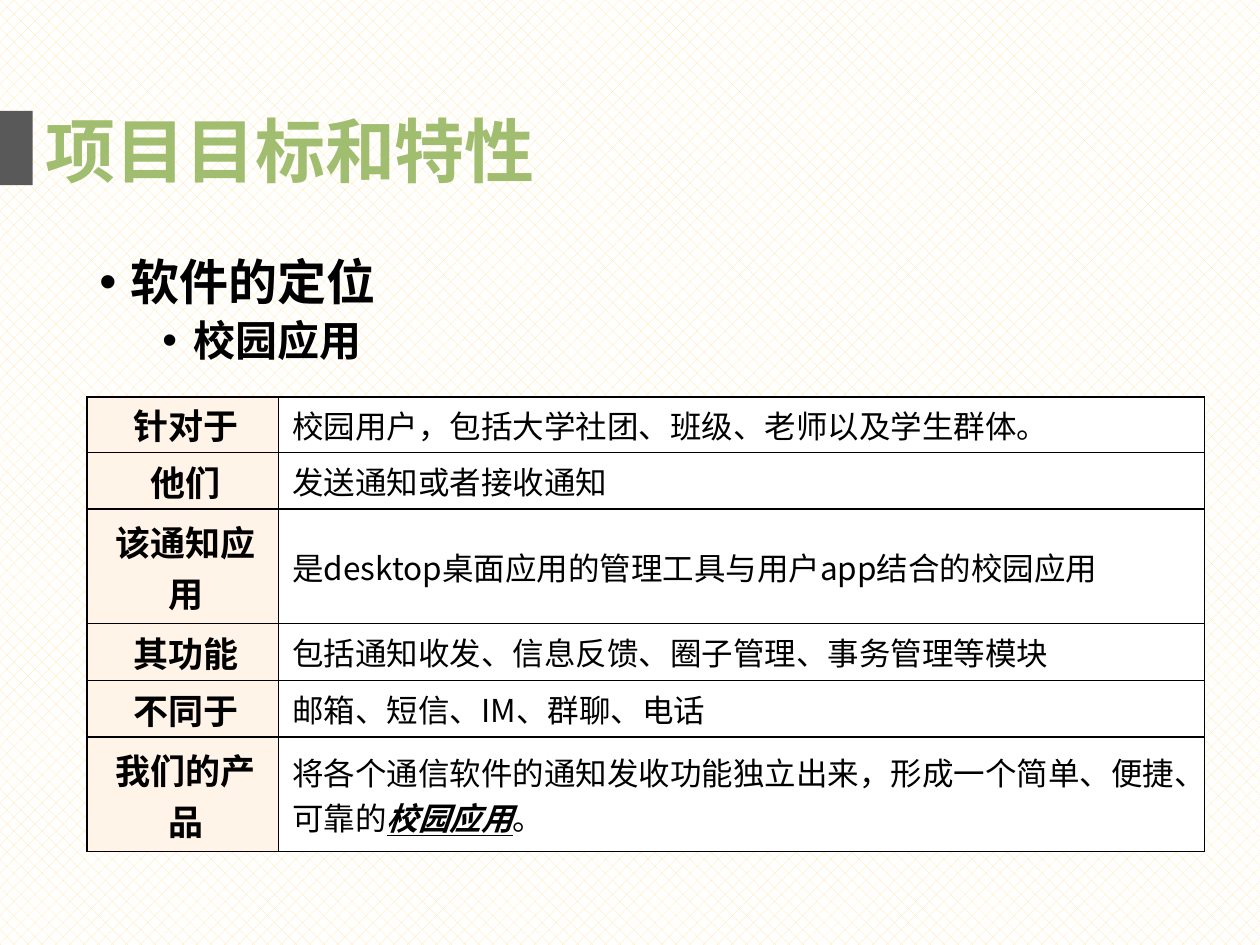
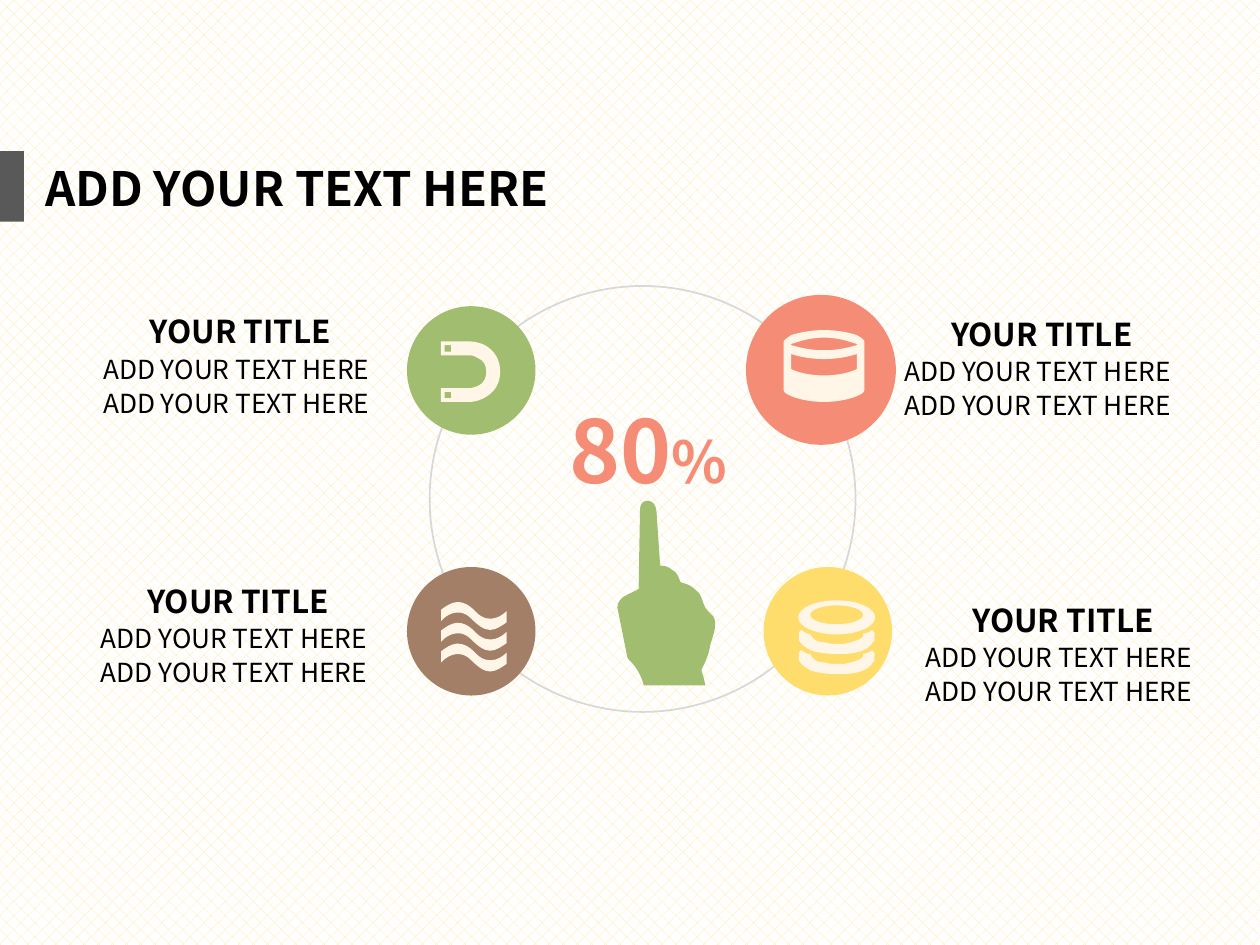
from lxml.etree import SubElement
from pptx import Presentation
from pptx.dml.color import RGBColor
from pptx.enum.dml import MSO_PATTERN
from pptx.enum.shapes import MSO_SHAPE
from pptx.enum.text import MSO_ANCHOR, MSO_AUTO_SIZE, PP_ALIGN
from pptx.oxml import parse_xml
from pptx.oxml.ns import qn
from pptx.util import Inches, Pt

FONT = "Noto Sans CJK SC"
NS = 'xmlns:a="http://schemas.openxmlformats.org/drawingml/2006/main"'
BLACK = RGBColor(0, 0, 0)
WHITE = RGBColor(255, 255, 255)
GOLD = RGBColor(0xFF, 0xE6, 0x99)
GRAY = RGBColor(0x59, 0x59, 0x59)
SILVER = RGBColor(0xD8, 0xD8, 0xD8)
GREEN = RGBColor(0xA1, 0xBD, 0x70)
BROWN = RGBColor(0xA3, 0x7F, 0x67)
CORAL = RGBColor(0xF5, 0x8D, 0x76)
YELLOW = RGBColor(0xFF, 0xDD, 0x6C)
CREAM = RGBColor(0xFF, 0xF6, 0xE7)
PEACH = RGBColor(0xFF, 0xF4, 0xE7)


def style(para, size, color=BLACK, bold=False):
    for run in para.runs:
        font = run.font
        font.size, font.bold, font.name = Pt(size), bold, FONT
        font.color.rgb = color
        SubElement(run._r.get_or_add_rPr(), qn("a:ea")).set("typeface", FONT)


def draw(slide, loops, color):
    pen = None
    for loop in loops:
        head = [Inches(v / 100) for v in loop[0]]
        if pen is None:
            pen = slide.shapes.build_freeform(*head)
        else:
            pen.move_to(*head)
        pen.add_line_segments([(Inches(step[i] / 100), Inches(step[i + 1] / 100))
                               for step in loop[1:] for i in range(0, len(step), 2)], close=True)
    shape = pen.convert_to_shape()
    shape.shadow.inherit = False
    shape.fill.solid()
    shape.fill.fore_color.rgb = color
    shape.line.fill.background()
    marks = iter(list(shape._element.iter(qn("a:lnTo"))))
    for loop in loops:
        for step in loop[1:]:
            mark = next(marks)
            if len(step) == 6:
                mark.tag = qn("a:cubicBezTo")
                for extra in (next(marks), next(marks)):
                    mark.append(extra[0])
                    extra.getparent().remove(extra)


deck = Presentation()
deck.slide_width, deck.slide_height = Inches(10), Inches(7.5)

heads = [
    ("项目目标和特性", 40, GREEN, (0.26, 0.8, 4.3, 0.77), (0, 0.88, 0.26, 0.59)),
    ("ADD YOUR TEXT HERE", 27, BLACK, (0.26, 1.21, 4.51, 0.56), (0, 1.2, 0.19, 0.56)),
]
for text, size, color, spot, bar in heads:
    slide = deck.slides.add_slide(deck.slide_layouts[5])
    fill = slide.background.fill
    fill.patterned()
    fill.pattern = MSO_PATTERN.PERCENT_25
    fill.fore_color.rgb, fill.back_color.rgb = GOLD, WHITE
    title = slide.shapes.title
    title.left, title.top, title.width, title.height = [Inches(v) for v in spot]
    frame = title.text_frame
    frame.text = text
    frame.auto_size = MSO_AUTO_SIZE.NONE
    frame.vertical_anchor = MSO_ANCHOR.MIDDLE
    frame.paragraphs[0].alignment = PP_ALIGN.LEFT
    style(frame.paragraphs[0], size, color, True)
    band = slide.shapes.add_shape(MSO_SHAPE.RECTANGLE, *[Inches(v) for v in bar])
    band.shadow.inherit = False
    band.fill.solid()
    band.fill.fore_color.rgb = GRAY
    band.line.fill.background()

goal, stats = deck.slides

rows = [
    ("针对于", ["校园用户，包括大学社团、班级、老师以及学生群体。"], 0.44),
    ("他们", ["发送通知或者接收通知"], 0.45),
    ("该通知应用", ["是desktop桌面应用的管理工具与用户app结合的校园应用"], 0.91),
    ("其功能", ["包括通知收发、信息反馈、圈子管理、事务管理等模块"], 0.45),
    ("不同于", ["邮箱、短信、IM、群聊、电话"], 0.45),
    ("我们的产品", ["将各个通信软件的通知发收功能独立出来，形成一个简单、便捷、可靠的",
               "校园应用", "。"], 0.91),
]
table = goal.shapes.add_table(len(rows), 2, Inches(0.69), Inches(3.15),
                              Inches(8.87), Inches(3.6)).table
table.first_row = table.horz_banding = False
table.columns[0].width, table.columns[1].width = Inches(1.52), Inches(7.35)
for i, (name, parts, tall) in enumerate(rows):
    table.rows[i].height = Inches(tall)
    for j, texts in enumerate([[name], parts]):
        cell = table.cell(i, j)
        cell.vertical_anchor = MSO_ANCHOR.MIDDLE
        cell.margin_left = cell.margin_right = Inches(0.11)
        cell.margin_top = cell.margin_bottom = 0
        para = cell.text_frame.paragraphs[0]
        para.space_after = Pt(6)
        for text in texts:
            para.add_run().text = text
        style(para, 18 if j else 20, BLACK, j == 0)
        if j == 0:
            para.alignment = PP_ALIGN.CENTER
            para._p.get_or_add_pPr().set("marL", str(Inches(0.05)))
        if len(texts) > 1:
            font = para.runs[1].font
            font.bold = font.italic = font.underline = True
        for side in ("lnL", "lnR", "lnT", "lnB"):
            cell._tc.get_or_add_tcPr().append(parse_xml(
                f'<a:{side} {NS} w="12700"><a:solidFill><a:srgbClr val="000000"/>'
                f'</a:solidFill></a:{side}>'))
        cell.fill.solid()
        cell.fill.fore_color.rgb = WHITE if j else PEACH

box = goal.shapes.add_textbox(Inches(0.69), Inches(2), Inches(8.62), Inches(4.76))
frame = box.text_frame
frame.word_wrap = True
frame.text = "软件的定位\n校园应用"
for i, para in enumerate(frame.paragraphs):
    para.level = i
    para.line_spacing = 0.9
    para.space_before = Pt(10 - 5 * i)
    style(para, 28 - 4 * i, BLACK, True)
    prop = para._p.get_or_add_pPr()
    prop.set("marL", str(Inches(0.25 + 0.5 * i)))
    prop.set("indent", str(Inches(-0.25)))
    prop.append(parse_xml(f'<a:buFont {NS} typeface="Arial"/>'))
    prop.append(parse_xml(f'<a:buChar {NS} char="•"/>'))

discs = [
    (3.41, 2.27, 3.38, None), (3.23, 2.43, 1.02, GREEN), (3.23, 4.5, 1.02, BROWN),
    (5.92, 2.34, 1.19, CORAL), (6.06, 4.5, 1.02, YELLOW),
]
for x, y, size, color in discs:
    disc = stats.shapes.add_shape(MSO_SHAPE.OVAL, Inches(x), Inches(y), Inches(size), Inches(size))
    disc.shadow.inherit = False
    if color is None:
        disc.fill.background()
        disc.line.color.rgb, disc.line.width = SILVER, Pt(1)
    else:
        disc.fill.solid()
        disc.fill.fore_color.rgb = color
        disc.line.fill.background()

notes = [(4.42, 3.1, 1.49, 0.93, "80", 49.5, CORAL, True)]
for x, y in [(0.72, 2.43), (0.7, 4.57), (7.08, 2.45), (7.25, 4.72)]:
    notes.append((x + 0.37, y, 1.7, 0.4, "YOUR TITLE", 18, BLACK, True))
    for drop in (0.32, 0.59):
        notes.append((x, y + drop, 2.47, 0.35, "ADD YOUR TEXT HERE", 15, BLACK, False))
for x, y, wide, tall, text, size, color, bold in notes:
    box = stats.shapes.add_textbox(Inches(x), Inches(y), Inches(wide), Inches(tall))
    frame = box.text_frame
    frame.word_wrap = True
    frame.vertical_anchor = MSO_ANCHOR.MIDDLE
    frame.text = text
    para = frame.paragraphs[0]
    if text == "80":
        para.add_run().text = "%"
    style(para, size, color, bold)
    if text == "80":
        para.runs[1].font.size = Pt(33)

hand = [
    (546, 464), (540, 462), (539, 459, 538, 456, 536, 454), (533, 452),
    (531, 450, 528, 449, 525, 449), (524, 449), (521, 405), (520, 395, 508, 395, 508, 404),
    (508, 407, 507, 457, 507, 465), (507, 467, 508, 467, 506, 468), (502, 470),
    (496, 473, 491, 474, 490, 482), (498, 522), (500, 525, 502, 526, 504, 529),
    (507, 533, 510, 539, 511, 544), (560, 544), (559, 541, 559, 539, 558, 536),
    (557, 533, 556, 532, 558, 529), (561, 523, 563, 517, 564, 511),
    (566, 504, 570, 495, 566, 489), (562, 485), (558, 482, 558, 475, 555, 471),
    (552, 468, 549, 465, 546, 464),
]
draw(stats, [hand], GREEN)

for y in (473, 489.5, 506):
    wave = [
        (350, y + 20), (352, y + 18), (352, y + 18, 363, y + 7, 374, y + 18),
        (379, y + 23, 384, y + 27, 389, y + 27), (394, y + 27, 399, y + 23, 402, y + 21),
        (402, y + 12), (401, y + 13), (400, y + 14, 389, y + 24, 378, y + 13),
        (366, y, 358, y + 5, 350, y + 11),
    ]
    draw(stats, [wave], CREAM)

drum = [
    (686, 276), (686, 271), (686, 270, 684, 268, 680, 266), (674, 264, 665, 262, 654, 262),
    (644, 262, 634, 264, 628, 266), (625, 268, 622, 270, 622, 271), (622, 310),
    (622, 313, 636, 319, 654, 319), (672, 319, 686, 313, 686, 310),
]
lid = [
    (654, 268), (667, 268, 676, 272, 680, 273), (680, 274), (676, 275, 667, 278, 654, 278),
    (641, 278, 632, 275, 628, 274), (628, 273), (632, 272, 641, 268, 654, 268),
]
strip = [
    (654, 298), (641, 298, 632, 295, 628, 293), (628, 281), (634, 283, 643, 285, 654, 285),
    (665, 285, 674, 283, 680, 281), (680, 293), (676, 295, 667, 298, 654, 298),
]
draw(stats, [drum, lid, strip], CREAM)

magnet = [
    (385, 274), (379, 271, 373, 271, 373, 271), (350, 271), (350, 282), (373, 282),
    (373, 282, 376, 282, 379, 284), (384, 286, 386, 290, 386, 295),
    (386, 300, 384, 304, 380, 306), (376, 308, 373, 308, 373, 308), (350, 308), (350, 319),
    (373, 319), (373, 319, 379, 319, 384, 316), (392, 312, 397, 305, 397, 295),
    (397, 285, 392, 278, 385, 274),
]
tips = [[(358, y), (353, y), (353, y - 5), (358, y - 5)] for y in (279, 316)]
draw(stats, [magnet] + tips, CREAM)

for y in (516, 500):
    coin = [
        (692, y), (691, y + 1), (689, y + 2, 687, y + 3, 685, y + 3), (685, y + 5),
        (683, y + 7), (679, y + 9, 674, y + 10, 670, y + 11),
        (664, y + 11), (661, y + 11, 658, y + 11, 656, y + 10),
        (653, y + 10, 651, y + 9, 649, y + 9), (647, y + 8, 645, y + 7, 644, y + 5),
        (643, y + 3), (641, y + 3), (639, y + 2, 637, y + 1, 636, y),
        (635, y, 635, y + 1, 634, y + 2), (634, y + 8), (636, y + 12, 640, y + 14, 643, y + 16),
        (649, y + 18, 657, y + 19, 664, y + 19), (667, y + 19),
        (675, y + 19, 683, y + 18, 689, y + 14), (691, y + 12, 693, y + 10, 694, y + 8),
        (694, y + 5), (695, y + 4, 694, y + 2, 693, y + 1),
    ]
    draw(stats, [coin], CREAM)
rings = []
for w, h, y in [(30.5, 13.5, 490), (21, 7.5, 488)]:
    x, p, q = 664, 0.55 * w, 0.55 * h
    rings.append([
        (x + w, y), (x + w, y + q, x + p, y + h, x, y + h),
        (x - p, y + h, x - w, y + q, x - w, y), (x - w, y - q, x - p, y - h, x, y - h),
        (x + p, y - h, x + w, y - q, x + w, y),
    ])
draw(stats, rings, CREAM)

deck.save("out.pptx")
